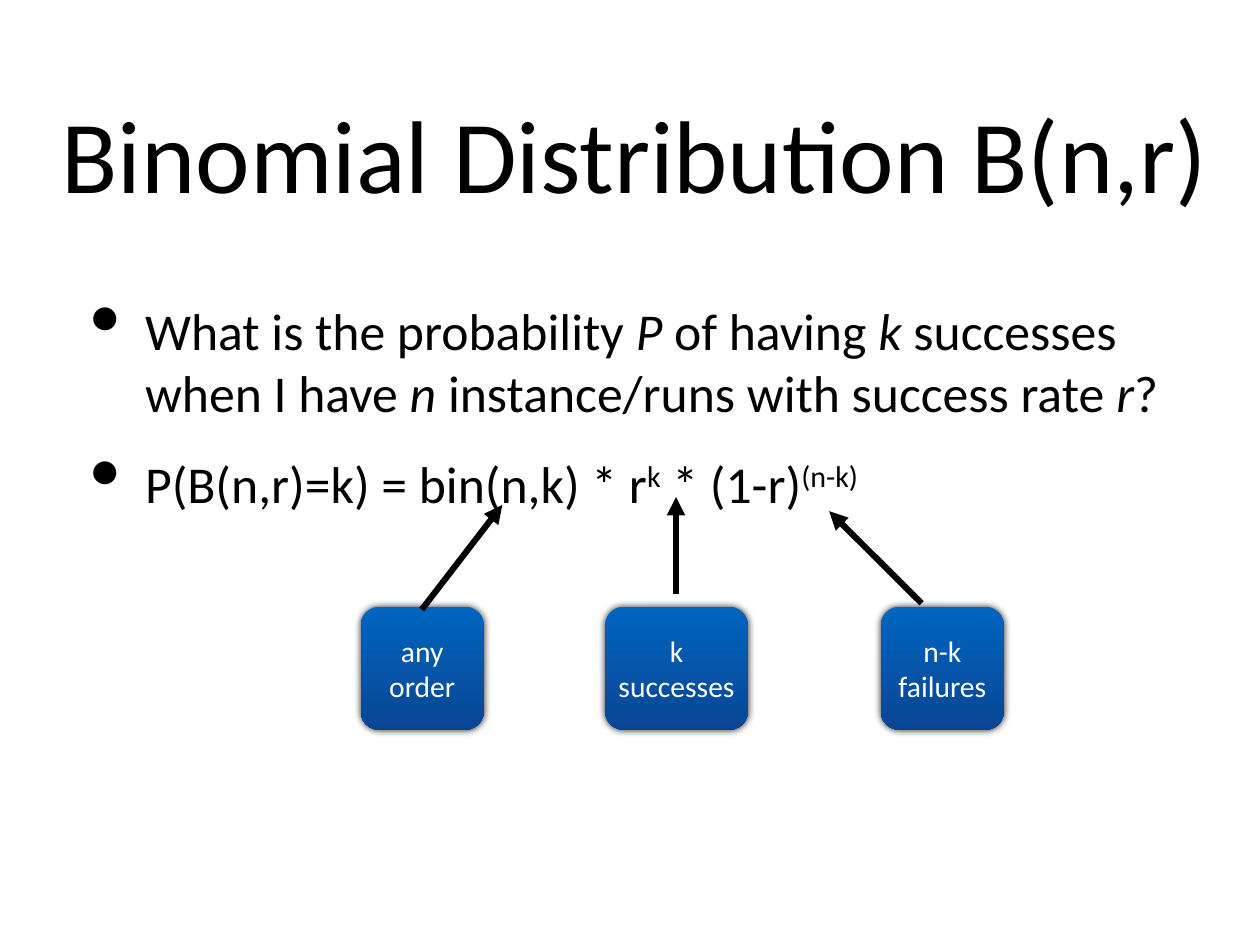
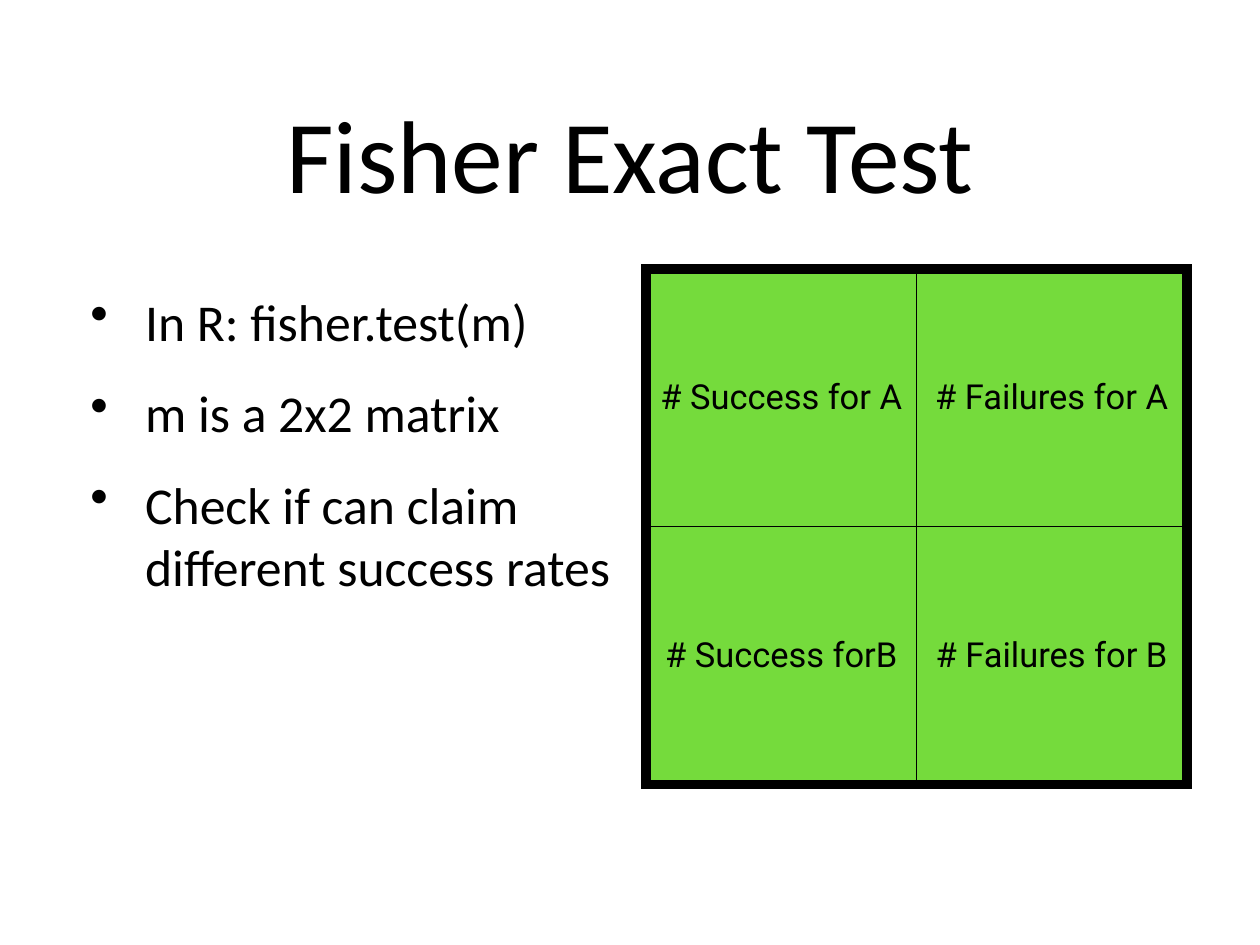
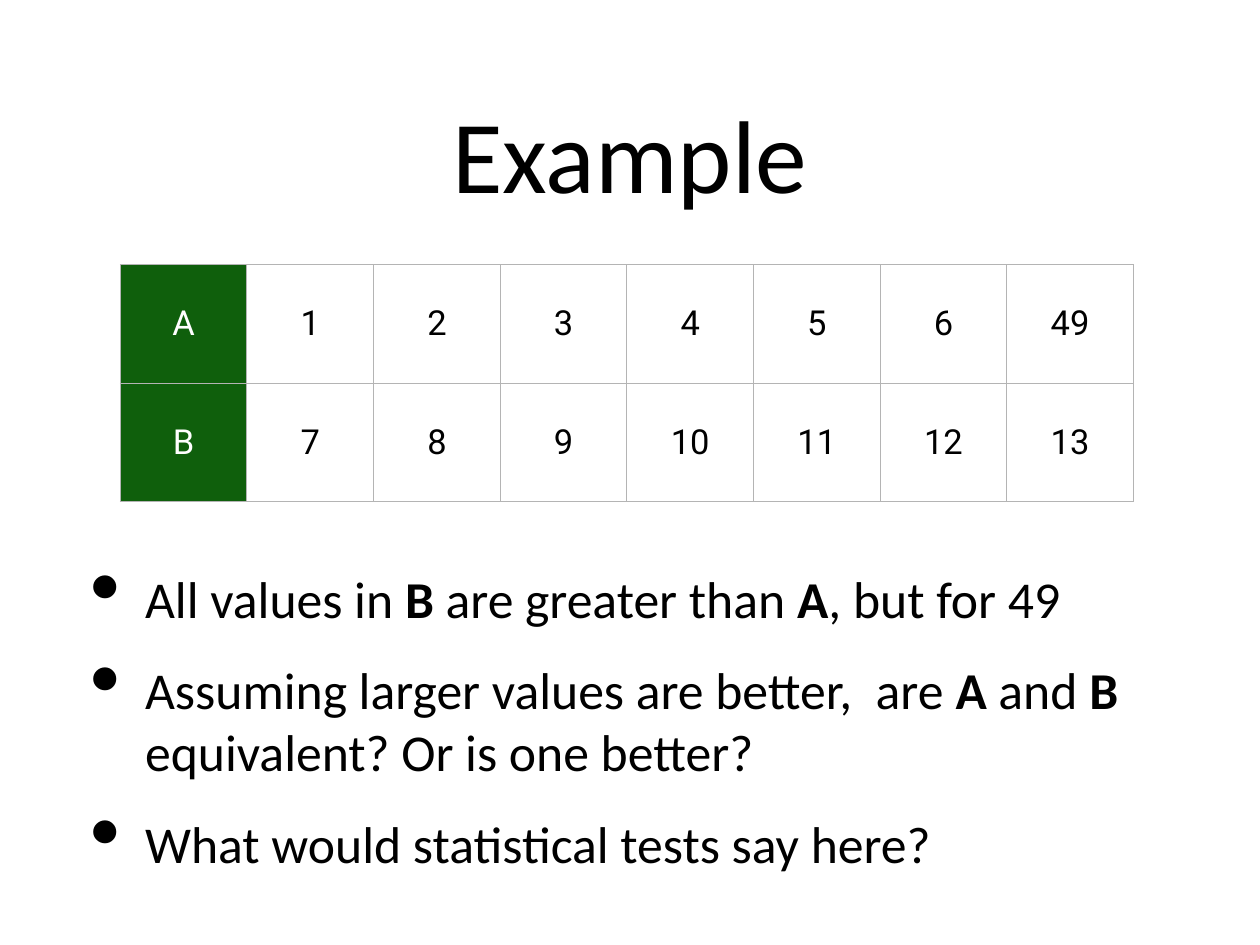
from dataclasses import dataclass

from lxml import etree
from pptx import Presentation
from pptx.dml.color import RGBColor
from pptx.enum.shapes import MSO_CONNECTOR, MSO_SHAPE
from pptx.enum.text import MSO_ANCHOR, PP_ALIGN
from pptx.oxml.ns import qn
from pptx.util import Cm, Pt

STRAIGHT = MSO_CONNECTOR.STRAIGHT
ROUNDED = MSO_SHAPE.ROUNDED_RECTANGLE
TOP, MIDDLE = MSO_ANCHOR.TOP, MSO_ANCHOR.MIDDLE
LEFT, CENTER = PP_ALIGN.LEFT, PP_ALIGN.CENTER


@dataclass(frozen=True)
class Theme:
    black: str = "000000"
    white: str = "FFFFFF"
    callout_top: str = "0065C1"
    callout_bottom: str = "094593"
    matrix_fill: str = "75DB3C"
    header_fill: str = "0F5F0C"
    grid: str = "B4B4B4"
    text_font: str = "Calibri"
    table_font: str = "Roboto"
    title_size: int = 84
    body_size: int = 42
    table_size: int = 28
    callout_size: int = 24
    paragraph_gap: int = 24
    inset: float = 0.15


THEME = Theme()
ITALIC = {"italic": True}
BOLD = {"bold": True}
RAISED = {"baseline": 32000}


def add_element(parent, tag, **attributes):
    element = etree.SubElement(parent, qn(tag))
    for name, value in attributes.items():
        element.set(name, str(value))
    return element


def add_span(para, text, size=THEME.body_size, color=THEME.black,
             font=THEME.text_font, bold=False, italic=False, baseline=0):
    span = para.add_run()
    span.text = text
    span.font.size = Pt(size)
    span.font.name = font
    span.font.bold = bold
    span.font.italic = italic
    span.font.color.rgb = RGBColor.from_string(color)
    if baseline:
        span.font._element.set("baseline", str(baseline))


class Deck:
    def __init__(self, theme, width, height):
        self.theme = theme
        self.file = Presentation()
        self.file.slide_width = Cm(width)
        self.file.slide_height = Cm(height)
        self.page = None

    def add_page(self, title, left=3.53, width=29.06):
        self.page = self.file.slides.add_slide(self.file.slide_layouts[6])
        frame = self.add_frame(left, 0.71, width, 7.32, MIDDLE)
        para = frame.paragraphs[0]
        para.alignment = CENTER
        add_span(para, title, size=self.theme.title_size)

    def add_frame(self, left, top, width, height, anchor):
        box = self.page.shapes.add_textbox(Cm(left), Cm(top), Cm(width), Cm(height))
        self.set_frame(box.text_frame, anchor)
        return box.text_frame

    def set_frame(self, frame, anchor):
        frame.word_wrap = True
        frame.vertical_anchor = anchor
        self.set_margins(frame)

    def set_margins(self, target):
        inset = Cm(self.theme.inset)
        target.margin_left = target.margin_right = inset
        target.margin_top = target.margin_bottom = inset

    def add_bullets(self, items, top, width, height, bullet_size, anchor=TOP):
        frame = self.add_frame(1.55, top, width, height, anchor)
        for index, item in enumerate(items):
            para = frame.add_paragraph() if index else frame.paragraphs[0]
            para.alignment = LEFT
            para.space_before = Pt(self.theme.paragraph_gap if index else 0)
            layout = para._p.get_or_add_pPr()
            layout.set("marL", str(Cm(2.46)))
            layout.set("indent", str(Cm(-1.57)))
            add_element(layout, "a:buSzPct", val=bullet_size * 1000)
            add_element(layout, "a:buChar", char="•")
            for text, style in item:
                add_span(para, text, **style)

    def add_callout(self, text, left, width):
        box = self.page.shapes.add_shape(ROUNDED, Cm(left), Cm(17.4), Cm(width), Cm(3.53))
        box.adjustments[0] = 0.15
        box.fill.gradient()
        box.fill.gradient_angle = 270
        colors = (self.theme.callout_top, self.theme.callout_bottom)
        for stop, color in zip(box.fill.gradient_stops, colors):
            stop.color.rgb = RGBColor.from_string(color)
        box.line.fill.background()
        self.add_glow(box)
        self.set_frame(box.text_frame, MIDDLE)
        para = box.text_frame.paragraphs[0]
        para.alignment = CENTER
        add_span(para, text, size=self.theme.callout_size, color=self.theme.white)

    def add_glow(self, box):
        box.shadow.inherit = False
        effects = box._element.spPr.find(qn("a:effectLst"))
        shadow = add_element(effects, "a:outerShdw", blurRad=Pt(6), dist=0,
                             dir=315 * 60000, rotWithShape=0)
        color = add_element(shadow, "a:srgbClr", val=self.theme.black)
        add_element(color, "a:alpha", val=80000)

    def add_arrow(self, start, end):
        points = [Cm(value) for value in (*start, *end)]
        arrow = self.page.shapes.add_connector(STRAIGHT, *points)
        arrow.line.width = Pt(5)
        arrow.line.color.rgb = RGBColor.from_string(self.theme.black)
        add_element(arrow.line._get_or_add_ln(), "a:tailEnd", type="triangle")
        add_element(arrow._element.spPr, "a:effectLst")

    def add_grid(self, rows, left, top, cell_width, cell_height, border,
                 outer=1, fill=None, header_fill=None):
        row_count, column_count = len(rows), len(rows[0])
        table = self.page.shapes.add_table(
            row_count, column_count, Cm(left), Cm(top),
            Cm(cell_width * column_count), Cm(cell_height * row_count)).table
        table.first_row = table.horz_banding = False
        for column in table.columns:
            column.width = Cm(cell_width)
        for row_index, row in enumerate(rows):
            table.rows[row_index].height = Cm(cell_height)
            for column_index, text in enumerate(row):
                is_header = header_fill is not None and column_index == 0
                edges = {
                    "a:lnL": column_index == 0,
                    "a:lnR": column_index == column_count - 1,
                    "a:lnT": row_index == 0,
                    "a:lnB": row_index == row_count - 1,
                }
                widths = {tag: outer if edge else 1 for tag, edge in edges.items()}
                cell = table.cell(row_index, column_index)
                self.fill_cell(cell, text, header_fill if is_header else fill,
                               self.theme.white if is_header else self.theme.black)
                self.set_borders(cell, border, widths)

    def fill_cell(self, cell, text, fill, color):
        if fill:
            cell.fill.solid()
            cell.fill.fore_color.rgb = RGBColor.from_string(fill)
        else:
            cell.fill.background()
        cell.vertical_anchor = MIDDLE
        self.set_margins(cell)
        para = cell.text_frame.paragraphs[0]
        para.alignment = CENTER
        add_span(para, text, size=self.theme.table_size, color=color,
                 font=self.theme.table_font)

    def set_borders(self, cell, color, widths):
        properties = cell._tc.get_or_add_tcPr()
        for position, (tag, width) in enumerate(widths.items()):
            line = add_element(properties, tag, w=Pt(width))
            paint = add_element(line, "a:solidFill")
            add_element(paint, "a:srgbClr", val=color)
            properties.insert(position, line)


def add_binomial_page(deck):
    deck.add_page("Binomial Distribution B(n,r)", left=1.22, width=33.96)
    deck.add_bullets([
        [("What is the probability ", {}), ("P", ITALIC), (" of having ", {}),
         ("k ", ITALIC), ("successes when I have ", {}), ("n ", ITALIC),
         ("instance/runs with success rate ", {}), ("r", ITALIC), ("?", {})],
        [("P(B(n,r)=k) = bin(n,k) * r", {}), ("k", RAISED),
         (" * (1-r)", {}), ("(n-k)", RAISED)],
    ], top=8.41, width=33.02, height=17.63, bullet_size=171)
    callouts = [
        ("any order", 10.34, 3.53, (12.09, 17.48), (14.4, 14.48)),
        ("n-k failures", 25.25, 3.53, (26.42, 17.3), (23.77, 14.66)),
        ("k successes", 17.35, 4.09, (19.38, 17.02), (19.38, 14.25)),
    ]
    for text, left, width, start, end in callouts:
        deck.add_callout(text, left, width)
        deck.add_arrow(start, end)


def add_fisher_page(deck):
    deck.add_page("Fisher Exact Test")
    lines = ["In R: fisher.test(m)", "m is a 2x2 matrix",
             "Check if can claim different success rates"]
    deck.add_bullets([[(line, {})] for line in lines],
                     top=8.15, width=16.48, height=17.63, bullet_size=101)
    deck.add_grid([["# Success for A", "# Failures for A"],
                   ["# Success forB", "# Failures for B"]],
                  left=18.52, top=7.72, cell_width=7.75, cell_height=7.39,
                  border=deck.theme.black, outer=9, fill=deck.theme.matrix_fill)


def add_example_page(deck):
    deck.add_page("Example")
    deck.add_bullets([
        [("All values in ", {}), ("B", BOLD), (" are greater than ", {}),
         ("A", BOLD), (", but for 49", {})],
        [("Assuming larger values are better,  are ", {}), ("A", BOLD),
         (" and ", {}), ("B", BOLD), (" equivalent? Or is one better?", {})],
        [("What would statistical tests say here?", {})],
    ], top=15.57, width=33.02, height=10.16, bullet_size=171, anchor=MIDDLE)
    samples = {"A": (1, 2, 3, 4, 5, 6, 49), "B": range(7, 14)}
    deck.add_grid([[name, *map(str, values)] for name, values in samples.items()],
                  left=3.45, top=7.59, cell_width=3.63, cell_height=3.4,
                  border=deck.theme.grid, header_fill=deck.theme.header_fill)


def main():
    deck = Deck(THEME, 36.12, 27.1)
    add_binomial_page(deck)
    add_fisher_page(deck)
    add_example_page(deck)
    deck.file.save("out.pptx")


if __name__ == "__main__":
    main()
